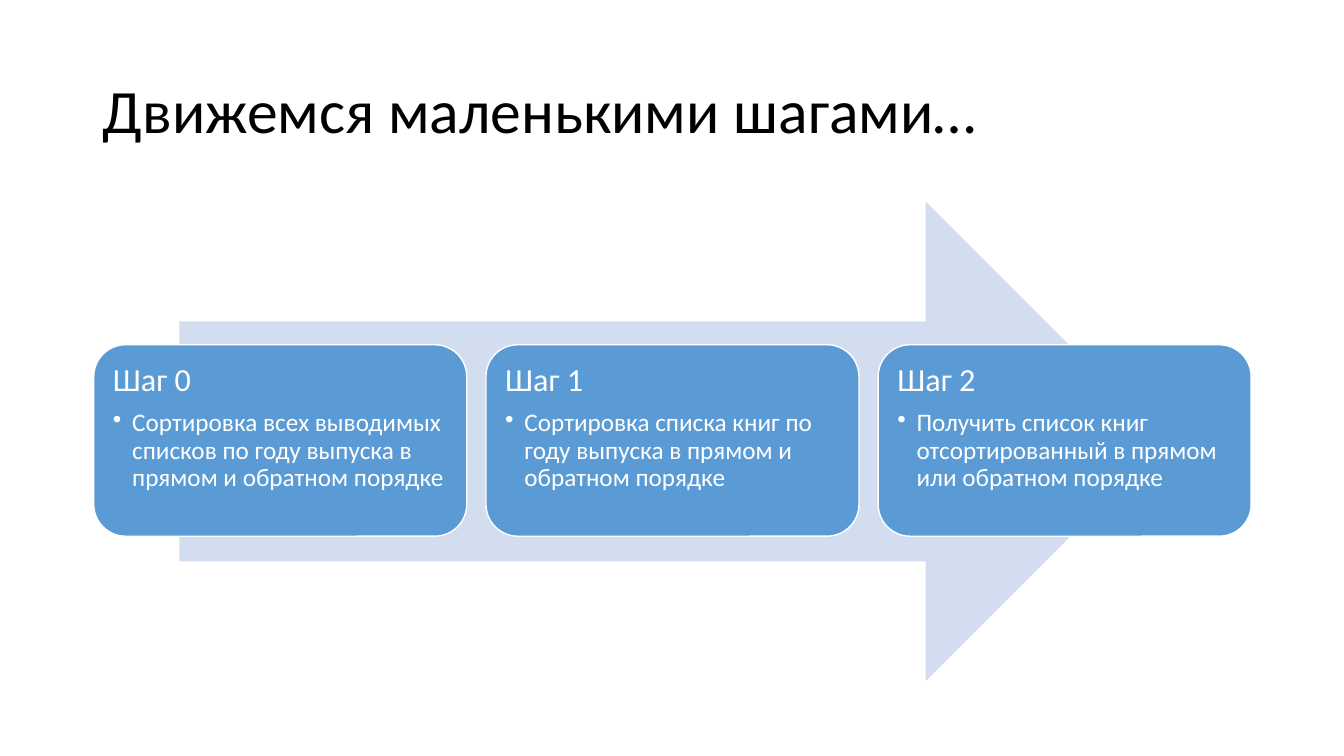
from lxml.etree import SubElement
from pptx import Presentation
from pptx.dml.color import RGBColor as RGB
from pptx.enum.shapes import MSO_SHAPE as Shape
from pptx.enum.text import MSO_ANCHOR as Anchor, PP_ALIGN as Align
from pptx.oxml.ns import qn
from pptx.util import Inches, Pt

STEPS = [
    ("Шаг 0", "Сортировка всех выводимых списков по году выпуска в прямом и обратном порядке"),
    ("Шаг 1", "Сортировка списка книг по году выпуска в прямом и обратном порядке"),
    ("Шаг 2", "Получить список книг отсортированный в прямом или обратном порядке"),
]


def paint(target, color):
    target.solid()
    target.fore_color.rgb = RGB.from_string(color)


def style(para, size, color, after=0):
    para.alignment = Align.LEFT
    para.line_spacing = 0.9
    para.space_before = Pt(0)
    para.space_after = Pt(after)
    for run in para.runs:
        run.font.name = "Calibri"
        run.font.size = Pt(size)
        run.font.color.rgb = RGB.from_string(color)


def bullet(para):
    props = para._p.get_or_add_pPr()
    props.set("marL", str(Inches(0.19)))
    props.set("indent", str(-Inches(0.19)))
    SubElement(props, qn("a:buChar"), char="•")


def add_title(slide, text):
    title = slide.shapes.title
    title.left, title.top = Inches(0.92), Inches(0.4)
    title.width, title.height = Inches(11.5), Inches(1.45)
    frame = title.text_frame
    frame.text = text
    frame.vertical_anchor = Anchor.MIDDLE
    style(frame.paragraphs[0], 44, "000000")


def add_block(slide, kind, left, top, width, height, color):
    block = slide.shapes.add_shape(
        kind, Inches(left), Inches(top), Inches(width), Inches(height))
    block.shadow.inherit = False
    paint(block.fill, color)
    block.line.fill.background()
    return block


def add_step(slide, left, name, task):
    card = add_block(slide, Shape.ROUNDED_RECTANGLE, left, 3.42, 3.7, 1.9, "5B9BD5")
    paint(card.line.fill, "FFFFFF")
    card.line.width = Pt(1)
    frame = card.text_frame
    frame.word_wrap = True
    frame.vertical_anchor = Anchor.TOP
    frame.margin_left = frame.margin_right = Inches(0.1)
    frame.margin_top = frame.margin_bottom = Inches(0.1)
    frame.text = name
    style(frame.paragraphs[0], 23, "FFFFFF", 8)
    para = frame.add_paragraph()
    para.text = task
    bullet(para)
    style(para, 18, "FFFFFF")


def main():
    deck = Presentation()
    deck.slide_width, deck.slide_height = Inches(13.33), Inches(7.5)
    slide = deck.slides.add_slide(deck.slide_layouts[5])
    add_title(slide, "Движемся маленькими шагами…")
    add_block(slide, Shape.RIGHT_ARROW, 1.78, 2, 9.78, 4.76, "D2DEEF")
    for i, (name, task) in enumerate(STEPS):
        add_step(slide, 0.93 + 3.89 * i, name, task)
    deck.save("out.pptx")


if __name__ == "__main__":
    main()
